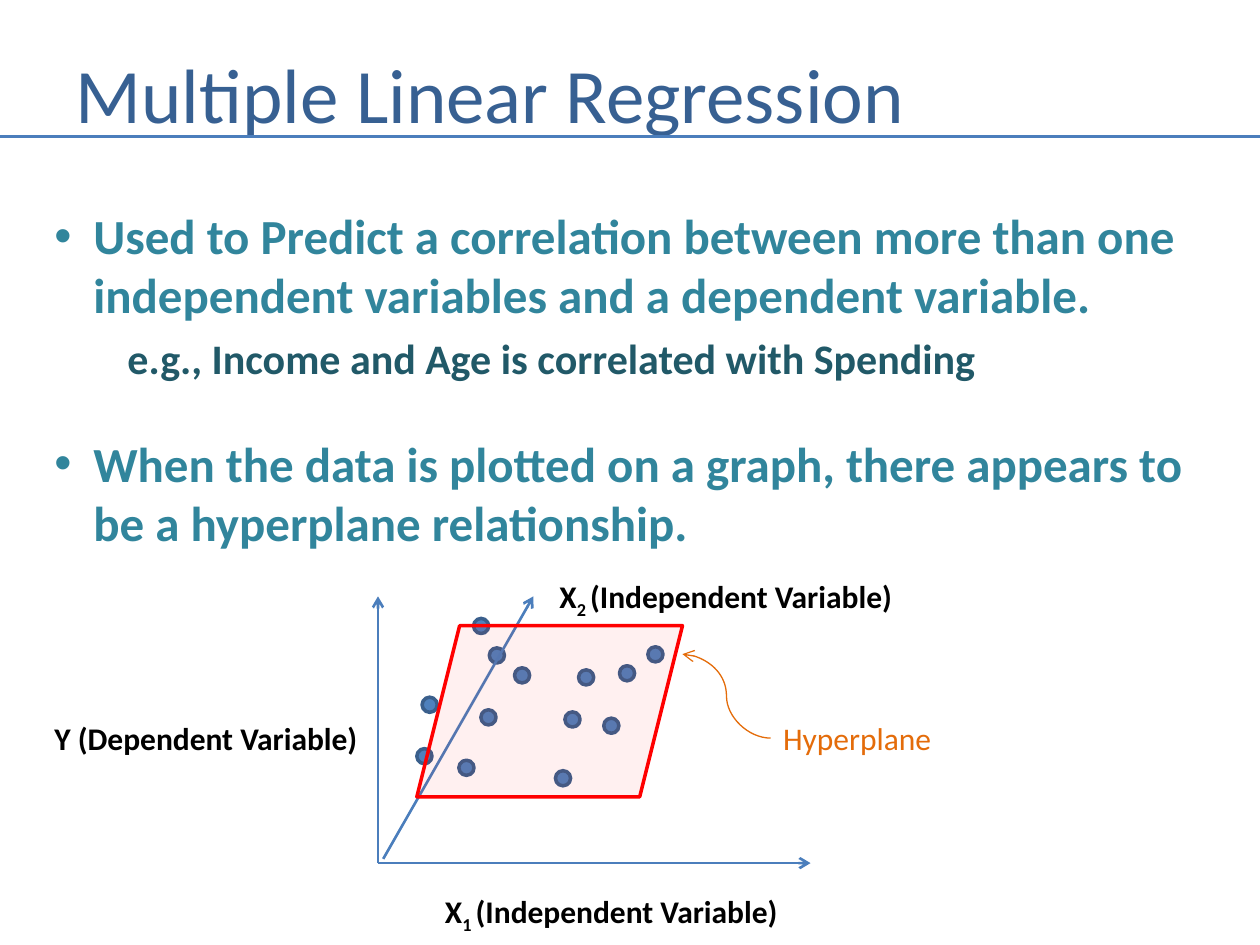
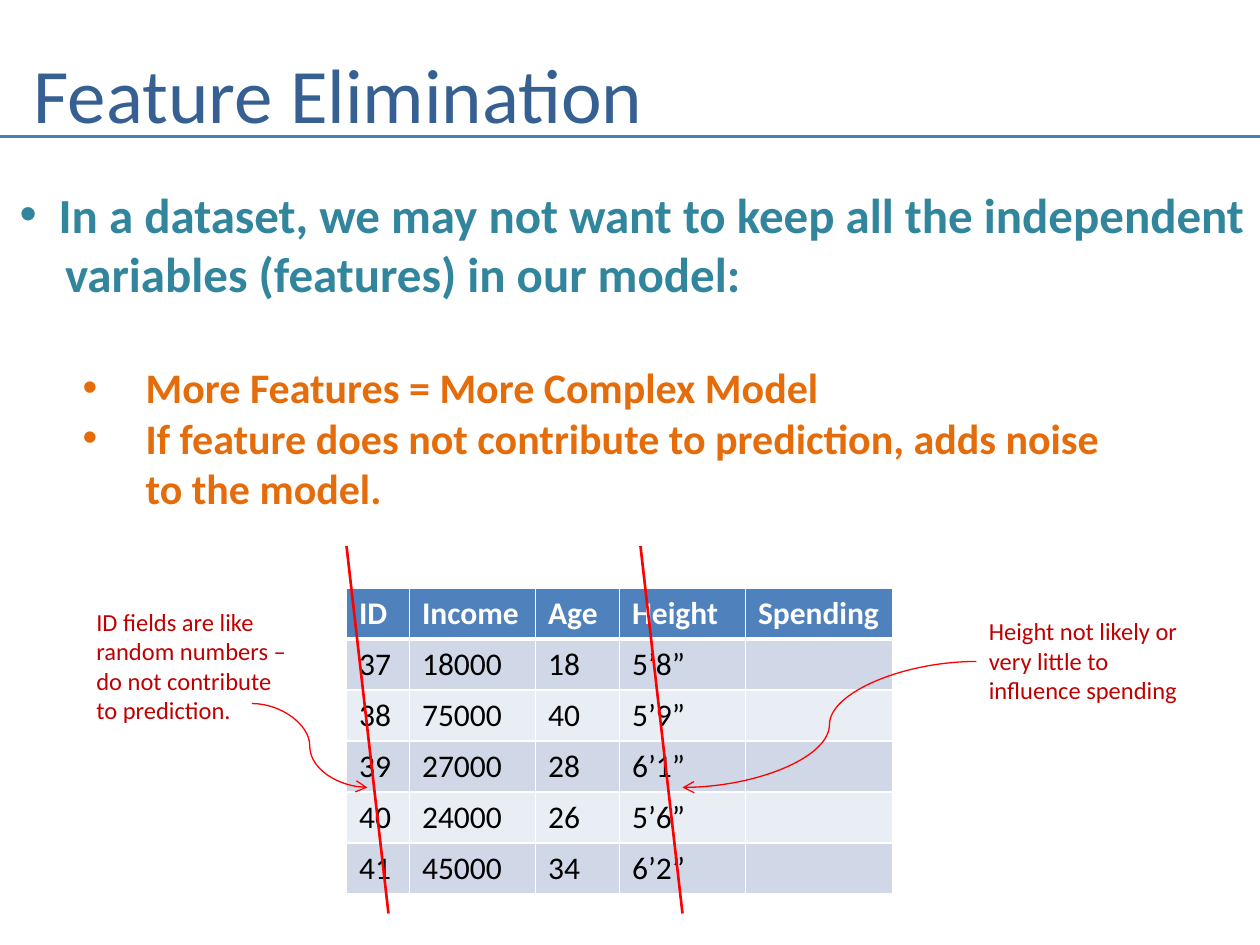
from pptx import Presentation
from pptx import util as u
from pptx.dml.color import RGBColor
from pptx.enum import shapes, text
from pptx.oxml import ns
from lxml import etree


class Theme:
    font = "Calibri"
    title, head, sub, label, note = 44, 28, 24, 18, 14
    navy, teal, deep = "376092", "31859C", "215968"
    blue, edge, axis = "4F81BD", "3A5F8C", "4B7EBC"
    orange, red, wine = "E46C0A", "FF0000", "C00000"
    black, white = "000000", "FFFFFF"
    bands = "E9EDF4", "D0D8E8"


deck = Presentation()
deck.slide_width, deck.slide_height = u.Inches(10), u.Inches(7.5)
cols, rows = 120, 90
cell = deck.slide_width / cols


def write(frame, parts, size, color, bold=False, left=0, hang=0, gap=0, level=0):
    frame.word_wrap = True
    para = frame.paragraphs[0]
    if para.runs:
        para = frame.add_paragraph()
    para.alignment = text.PP_ALIGN.LEFT
    para.level = level
    if gap:
        para.space_before = u.Pt(gap)
    props = para._p.get_or_add_pPr()
    props.set("marL", str(u.Inches(left)))
    props.set("indent", str(u.Inches(-hang)))
    if hang:
        etree.SubElement(props, ns.qn("a:buFont")).set("typeface", "Arial")
        etree.SubElement(props, ns.qn("a:buChar")).set("char", "•")
    for spot, part in enumerate(parts):
        for row, words in enumerate(part.split("\n")):
            if row:
                para.add_line_break()
            run = para.add_run()
            run.text = words
            run.font.name, run.font.size, run.font.bold = Theme.font, u.Pt(size), bold
            run.font.color.rgb = RGBColor.from_string(color)
            if spot == 1:
                run._r.get_or_add_rPr().set("baseline", "-25000")


def link(page, ends, color, width=1.5, arrow=False, curve=False):
    kind = shapes.MSO_CONNECTOR.CURVE if curve else shapes.MSO_CONNECTOR.STRAIGHT
    line = page.shapes.add_connector(kind, *[round(n * cell) for n in ends])
    line.line.color.rgb = RGBColor.from_string(color)
    line.line.width = u.Pt(width)
    if arrow:
        tip = etree.SubElement(line.line._get_or_add_ln(), ns.qn("a:tailEnd"))
        tip.set("type", "arrow")
    etree.SubElement(line._element.spPr, ns.qn("a:effectLst"))


pages = []
for name, left, width in [("Multiple Linear Regression", 6, 109),
                          ("Feature Elimination", 2, 115.6)]:
    page = deck.slides.add_slide(deck.slide_layouts[5])
    title = page.shapes.title
    title.left, title.top, title.width, title.height = [
        round(n * cell) for n in (left, 3.6, width, 10.4)]
    title.text_frame.vertical_anchor = text.MSO_ANCHOR.MIDDLE
    title.text_frame.auto_size = text.MSO_AUTO_SIZE.NONE
    write(title.text_frame, [name], Theme.title, Theme.navy)
    link(page, (0, 13, cols, 13), Theme.axis)
    pages.append(page)
plot, drop = pages

base, peak = 82.2, 56.8
link(plot, (36, base, 36, peak), Theme.axis, arrow=True)
link(plot, (36, base, 77.2, base), Theme.axis, arrow=True)

dots = [(43.7, 72.4), (49, 63.6), (39.7, 71.3), (52.9, 73.4), (45.8, 67.6),
        (45.1, 58.9), (59, 63.4), (61.7, 61.6), (55.1, 63.8), (40.2, 66.4),
        (57.5, 68.4), (53.8, 67.8), (46.6, 61.7)]
for x, y in dots:
    dot = plot.shapes.add_shape(shapes.MSO_SHAPE.FLOWCHART_CONNECTOR, *[
        round(n * cell) for n in (x, y, 1.44, 1.44)])
    dot.shadow.inherit = False
    dot.fill.solid()
    dot.fill.fore_color.rgb = RGBColor.from_string(Theme.blue)
    dot.line.color.rgb = RGBColor.from_string(Theme.edge)
    dot.line.width = u.Pt(2)

link(plot, (73.4, 70.3, 65, 62.3), Theme.orange, 0.75, True, True)
link(plot, (36.5, 81.8, 50.8, peak), Theme.axis, arrow=True)

T = Theme
boxes = [
    (plot, (41.2, 84.4, 35.3, 4.8),
     [(["X", "1 ", "(Independent Variable)"], T.label, T.black, True)]),
    (plot, (4, 67.9, 31.6, 4.8),
     [(["Y (Dependent Variable)"], T.label, T.black, True)]),
    (plot, (73.4, 67.9, 16.7, 4.8), [(["Hyperplane"], T.label, T.orange)]),
    (plot, (52.1, 54.4, 35.3, 4.8),
     [(["X", "2 ", "(Independent Variable)"], T.label, T.black, True)]),
    (plot, (4, 19, 114, 34.3), [
        (["Used to Predict a correlation between more than one\n"
          "independent variables and a dependent variable."],
         T.head, T.teal, True, 0.31, 0.31),
        (["e.g., Income and Age is correlated with Spending"],
         T.sub, T.deep, True, 0.58, 0, 5),
        (["When the data is plotted on a graph, there appears to\n"
          "be a hyperplane relationship."],
         T.head, T.teal, True, 0.31, 0.31, 29)]),
    (drop, (0.7, 17, 120.5, 38.4), [
        (["In a dataset, we may not want to keep all the independent"],
         T.head, T.teal, True, 0.31, 0.31),
        (["variables (features) in our model:"], T.head, T.teal, True, 0.36),
        (["More Features = More Complex Model"],
         T.sub, T.orange, True, 1, 0.5, 34, 1),
        (["If feature does not contribute to prediction, adds noise\nto the model."],
         T.sub, T.orange, True, 1, 0.5, 0, 1)]),
    (drop, (8, 57.2, 20.7, 12.5), [
        ([words], T.note, T.wine) for words in (
            "ID fields are like", "random numbers –",
            "do not contribute", "to prediction.")]),
    (drop, (93, 58.1, 21.4, 9.7), [
        ([words], T.note, T.wine) for words in (
            "Height not likely or", "very little to", "influence spending")]),
]
for page, place, paras in boxes:
    box = page.shapes.add_textbox(*[round(n * cell) for n in place])
    for para in paras:
        write(box.text_frame, *para)

plane = plot.shapes.add_shape(shapes.MSO_SHAPE.PARALLELOGRAM, *[
    round(n * cell) for n in (39.7, 59.6, 25.3, 16.3)])
plane.shadow.inherit = False
plane.fill.solid()
plane.fill.fore_color.rgb = RGBColor.from_string(Theme.red)
tint = plane._element.spPr.find(ns.qn("a:solidFill"))[0]
etree.SubElement(tint, ns.qn("a:alpha")).set("val", "6000")
plane.line.color.rgb = RGBColor.from_string(Theme.red)
plane.line.width = u.Pt(2)

data = [
    ("ID", "Income", "Age", "Height", "Spending"),
    ("37", "18000", "18", "5’8”", ""),
    ("38", "75000", "40", "5’9”", ""),
    ("39", "27000", "28", "6’1”", ""),
    ("40", "24000", "26", "5’6”", ""),
    ("41", "45000", "34", "6’2”", ""),
]
spans = 6, 12, 8, 12, 14
high = 4.86
grid = drop.shapes.add_table(len(data), len(spans), *[
    round(n * cell) for n in (33, 56, sum(spans), high * len(data))]).table
for col, span in zip(grid.columns, spans):
    col.width = round(span * cell)
for r, items in enumerate(data):
    grid.rows[r].height = round(high * cell)
    for c, item in enumerate(items):
        field = grid.cell(r, c)
        props = field._tc.get_or_add_tcPr()
        for side in "LRTB":
            thick = (r, side) in [(0, "B"), (1, "T")]
            rim = etree.SubElement(props, ns.qn("a:ln" + side))
            rim.set("w", str(u.Pt(3 if thick else 1)))
            paint = etree.SubElement(rim, ns.qn("a:solidFill"))
            etree.SubElement(paint, ns.qn("a:srgbClr")).set("val", Theme.white)
        field.fill.solid()
        field.fill.fore_color.rgb = RGBColor.from_string(
            Theme.bands[r % 2] if r else Theme.blue)
        if item:
            write(field.text_frame, [item], Theme.label,
                  Theme.black if r else Theme.white, r == 0)

for x in (33, 61):
    link(drop, (x, 52, x + 4, 87), Theme.red)
link(drop, (24, 67, 35, 75), Theme.red, 0.75, True, True)
link(drop, (93, 63, 65, 75), Theme.red, 0.75, True, True)

deck.save("out.pptx")
